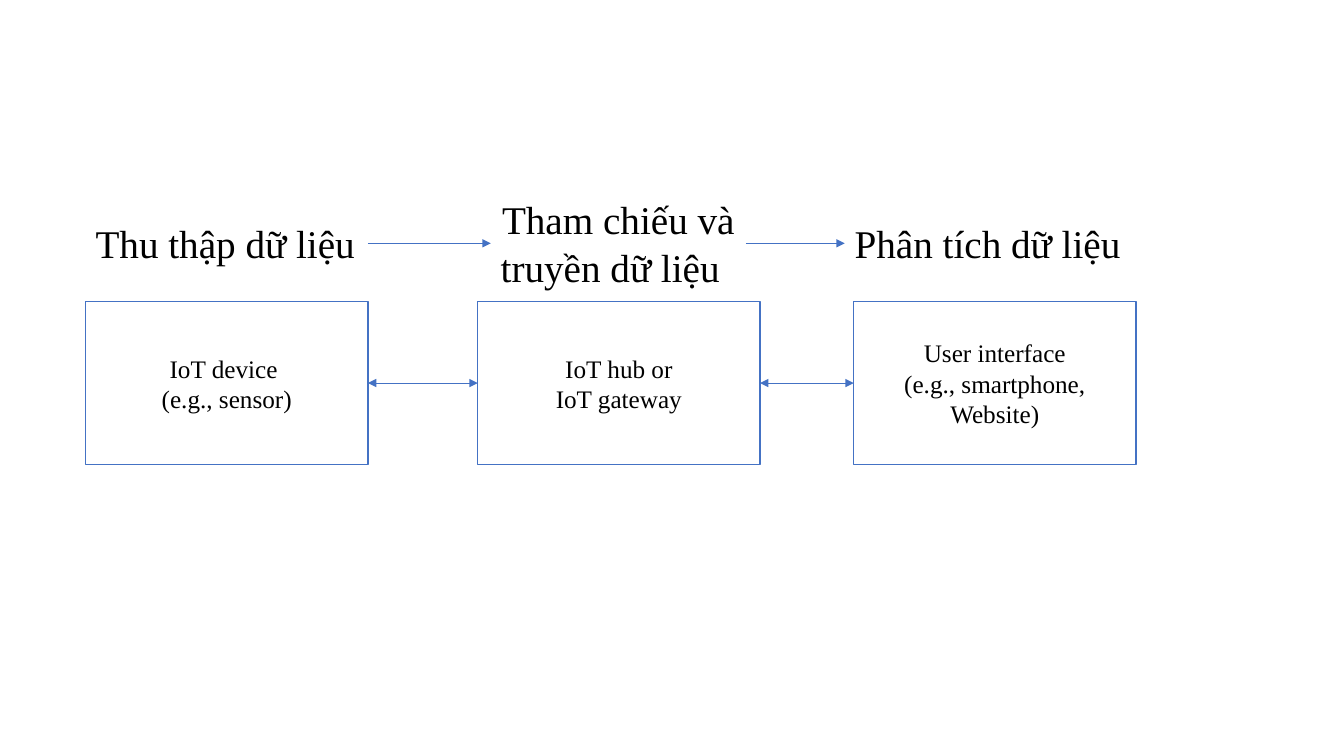
from dataclasses import dataclass
from itertools import pairwise

from lxml.etree import SubElement
from pptx import Presentation
from pptx.dml.color import RGBColor
from pptx.enum.shapes import MSO_CONNECTOR as Connector, MSO_SHAPE as Shape
from pptx.enum.text import MSO_ANCHOR as Anchor, MSO_AUTO_SIZE as AutoSize, PP_ALIGN as Align
from pptx.oxml.ns import qn
from pptx.slide import Slide
from pptx.text.text import TextFrame
from pptx.util import Pt

COLORS = {"paper": "FFFFFF", "ink": "000000", "accent": "4472C4"}
FONT = "Times New Roman"
BOX_TOP, BOX_WIDTH, BOX_HEIGHT = 215.3, 201.6, 116.6
BOX_MIDDLE = BOX_TOP + BOX_HEIGHT / 2
HEADING_MIDDLE = 173.8


@dataclass(frozen=True)
class Stage:
    heading: list[str]
    heading_aligns: list[Align]
    heading_left: float
    heading_width: float
    heading_height: float
    devices: list[str]
    box_left: float

    @property
    def heading_right(self) -> float:
        return self.heading_left + self.heading_width

    @property
    def box_right(self) -> float:
        return self.box_left + BOX_WIDTH


STAGES = [
    Stage(["Thu thập dữ liệu"], [Align.LEFT], 61.2, 201.6, 41,
          ["IoT device ", "(e.g., sensor)"], 61.2),
    Stage(["Tham chiếu và", "truyền dữ liệu"], [Align.CENTER, Align.LEFT], 350.6, 182.2, 75,
          ["IoT hub or", "IoT gateway"], 341.3),
    Stage(["Phân tích dữ liệu"], [Align.LEFT], 603.4, 213.1, 41,
          ["User interface", "(e.g., smartphone, Website)"], 609.8),
]


def color(name: str) -> RGBColor:
    return RGBColor.from_string(COLORS[name])


def write(frame: TextFrame, lines: list[str], *, size: float, aligns: list[Align],
          anchor: Anchor = Anchor.TOP, wrap: bool = True) -> None:
    frame.word_wrap = wrap
    frame.vertical_anchor = anchor
    for index, (line, align) in enumerate(zip(lines, aligns)):
        paragraph = frame.paragraphs[0] if index == 0 else frame.add_paragraph()
        paragraph.alignment = align
        run = paragraph.add_run()
        run.text = line
        run.font.name = FONT
        run.font.size = Pt(size)
        run.font.color.rgb = color("ink")


def draw_stage(slide: Slide, stage: Stage) -> None:
    # Device box
    box = slide.shapes.add_shape(Shape.RECTANGLE, Pt(stage.box_left), Pt(BOX_TOP),
                                 Pt(BOX_WIDTH), Pt(BOX_HEIGHT))
    box.shadow.inherit = False
    box.fill.solid()
    box.fill.fore_color.rgb = color("paper")
    box.line.color.rgb = color("accent")
    box.line.width = Pt(1)
    write(box.text_frame, stage.devices, size=18,
          aligns=[Align.CENTER] * len(stage.devices), anchor=Anchor.MIDDLE)

    # Heading above the box
    heading = slide.shapes.add_textbox(
        Pt(stage.heading_left), Pt(HEADING_MIDDLE - stage.heading_height / 2),
        Pt(stage.heading_width), Pt(stage.heading_height))
    write(heading.text_frame, stage.heading, size=28, aligns=stage.heading_aligns, wrap=False)
    heading.text_frame.auto_size = AutoSize.SHAPE_TO_FIT_TEXT


def draw_arrow(slide: Slide, start: float, end: float, y: float, *,
               two_way: bool = False) -> None:
    arrow = slide.shapes.add_connector(Connector.STRAIGHT, Pt(start), Pt(y), Pt(end), Pt(y))
    arrow.line.color.rgb = color("accent")
    arrow.line.width = Pt(0.5)
    properties = arrow._element.spPr
    outline = properties.find(qn("a:ln"))
    for tip in ("a:headEnd", "a:tailEnd") if two_way else ("a:tailEnd",):
        SubElement(outline, qn(tip), type="triangle")
    SubElement(properties, qn("a:effectLst"))


def main() -> None:
    deck = Presentation()
    deck.slide_width, deck.slide_height = Pt(960), Pt(540)
    slide = deck.slides.add_slide(deck.slide_layouts[6])

    for stage in STAGES:
        draw_stage(slide, stage)

    # Arrows between neighbouring stages
    for before, after in pairwise(STAGES):
        draw_arrow(slide, before.box_right, after.box_left, BOX_MIDDLE, two_way=True)
        draw_arrow(slide, before.heading_right, after.heading_left, HEADING_MIDDLE)

    deck.save("out.pptx")


if __name__ == "__main__":
    main()
